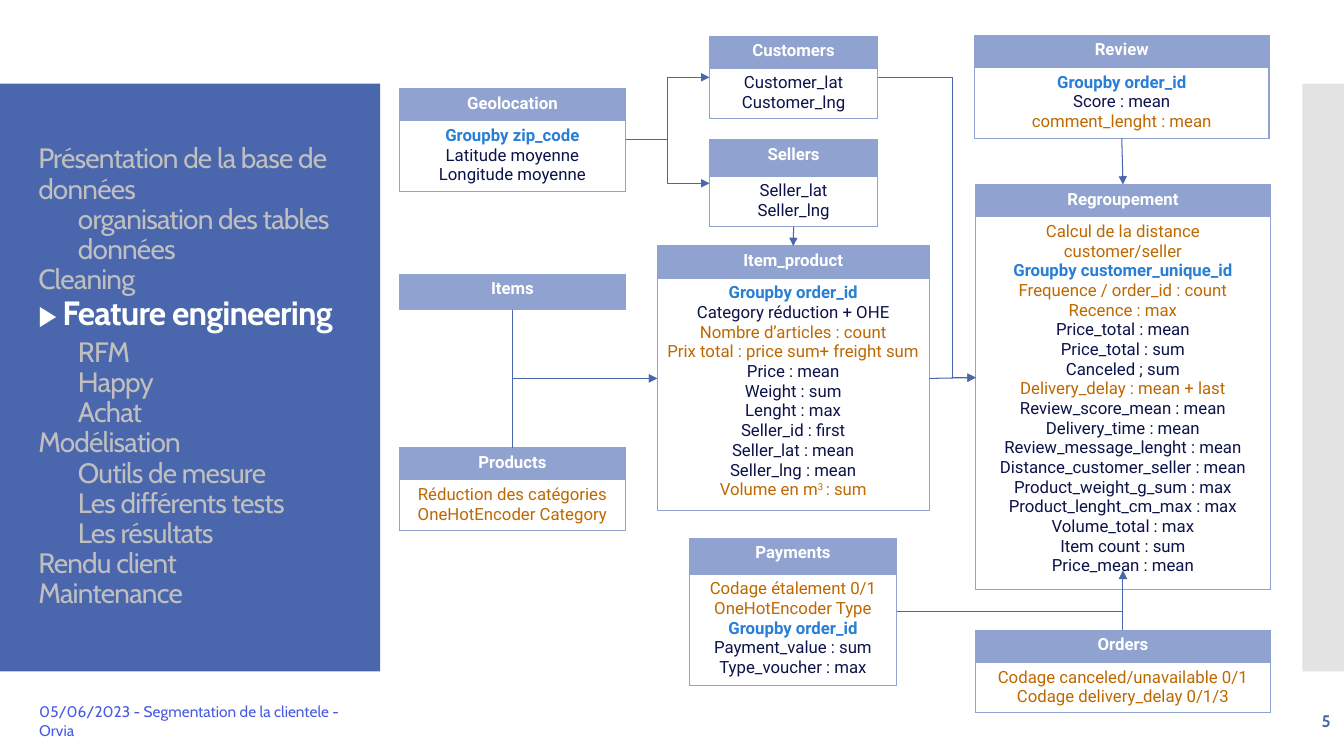
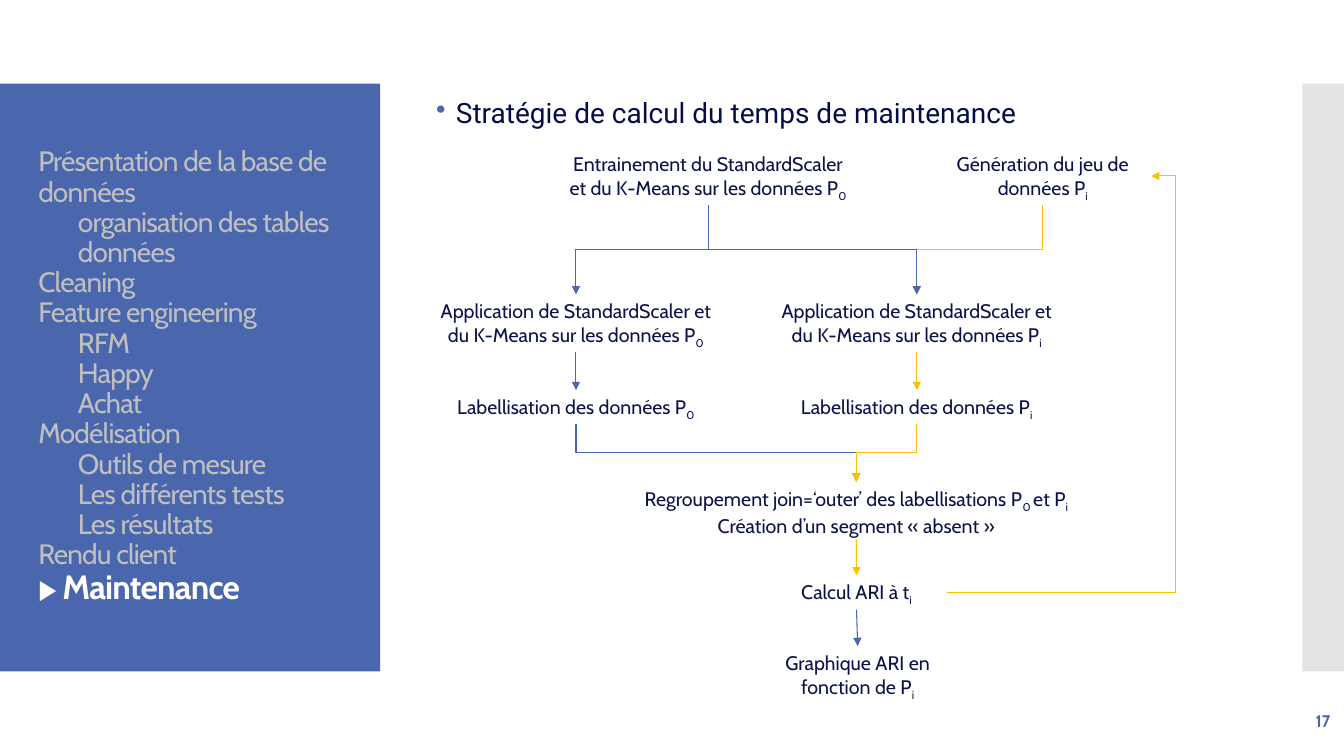
import pptx
import pptx.dml.color
import pptx.enum.shapes
import pptx.enum.text
import pptx.oxml
import pptx.oxml.ns
import pptx.util

Cm, Pt = pptx.util.Cm, pptx.util.Pt
ALIGN = pptx.enum.text.PP_ALIGN
ANCHOR = pptx.enum.text.MSO_ANCHOR
CONNECTOR = pptx.enum.shapes.MSO_CONNECTOR
qn = pptx.oxml.ns.qn

COLORS = {
    "band": "4A66AC", "side": "C8C8C8", "muted": "BFBFBF", "white": "FFFFFF",
    "header": "90A2CF", "text": "0B134A", "key": "297FD5", "new": "BE6800",
    "heading": "040D47", "footer": "465AE3", "loop": "FFC000",
}
# First character of a table line: its colour and weight
LINE_MARKS = {"*": ("key", True), "+": ("new", False)}
TOP, LEFT, BOTTOM, RIGHT = range(4)

# Navigation entries: indent level and wording
AGENDA = [
    (0, "Présentation de la base de données"), (1, "organisation des tables données"),
    (0, "Cleaning"), (0, "Feature engineering"), (1, "RFM"), (1, "Happy"), (1, "Achat"),
    (0, "Modélisation"), (1, "Outils de mesure"), (1, "Les différents tests"),
    (1, "Les résultats"), (0, "Rendu client"), (0, "Maintenance"),
]

# Tables: left, top, width, header height, lines (* key, + new, | superscript)
TABLES = {
    "Geolocation": (10.06, 2.23, 5.71, 0.81, [
        "*Groupby zip_code", "Latitude moyenne", "Longitude moyenne"]),
    "Items": (10.06, 6.91, 5.71, 0.89, []),
    "Products": (10.06, 11.28, 5.71, 0.81, [
        "+Réduction des catégories", "+OneHotEncoder Category"]),
    "Customers": (17.88, 0.91, 4.24, 0.81, ["Customer_lat", "Customer_lng"]),
    "Sellers": (17.88, 3.53, 4.24, 0.91, ["Seller_lat", "Seller_lng"]),
    "Item_product": (16.56, 6.2, 6.86, 0.81, [
        "*Groupby order_id", "Category réduction + OHE", "+Nombre d’articles : count",
        "+Prix total : price sum+ freight sum", "Price : mean", "Weight : sum",
        "Lenght : max", "Seller_id : first", "Seller_lat : mean", "Seller_lng : mean",
        "+Volume en m|3 |: sum"]),
    "Payments": (17.37, 13.56, 5.23, 0.91, [
        "+Codage étalement 0/1", "+OneHotEncoder Type", "*Groupby order_id",
        "Payment_value : sum", "Type_voucher : max"]),
    "Regroupement": (24.59, 4.65, 7.42, 0.81, [
        "+Calcul de la distance customer/seller", "*Groupby customer_unique_id",
        "+Frequence / order_id : count", "+Recence : max", "Price_total : mean",
        "Price_total : sum", "Canceled ; sum", "+Delivery_delay : mean + last",
        "Review_score_mean : mean", "Delivery_time : mean",
        "Review_message_lenght : mean", "Distance_customer_seller : mean",
        "Product_weight_g_sum : max", "Product_lenght_cm_max : max",
        "Volume_total : max", "Item count : sum", "Price_mean : mean"]),
    "Review": (24.56, 0.89, 7.42, 0.81, [
        "*Groupby order_id", "Score : mean", "+comment_lenght : mean"]),
    "Orders": (24.59, 15.88, 7.42, 0.81, [
        "+Codage canceled/unavailable 0/1", "+Codage delivery_delay 0/1/3"]),
}
TABLE_LINKS = [
    ("Geolocation", RIGHT, "Customers", LEFT, "bent"),
    ("Geolocation", RIGHT, "Sellers", LEFT, "bent"),
    ("Items", BOTTOM, "Item_product", LEFT, "corner"),
    ("Products", TOP, "Item_product", LEFT, "corner"),
    ("Sellers", BOTTOM, "Item_product", TOP, "straight"),
    ("Customers", RIGHT, "Regroupement", LEFT, "bent", 0.76),
    ("Item_product", RIGHT, "Regroupement", LEFT, "straight"),
    ("Payments", RIGHT, "Regroupement", BOTTOM, "corner"),
    ("Orders", TOP, "Regroupement", BOTTOM, "straight"),
    ("Review", BOTTOM, "Regroupement", TOP, "straight"),
]

# Flow steps: left, top, width, height, paragraphs (| subscript)
APPLY = "Application de StandardScaler et du K-Means sur les données P"
LABEL = "Labellisation des données P"
STEPS = {
    "train": (14.02, 3.71, 7.65, 1.45, [
        "Entrainement du StandardScaler et du K-Means sur les données P|0"]),
    "generate": (23.55, 3.71, 5.46, 1.45, ["Génération du jeu de données P|i"]),
    "apply 0": (10.69, 7.42, 7.65, 1.45, [APPLY + "|0"]),
    "apply i": (19.28, 7.42, 7.65, 1.45, [APPLY + "|i"]),
    "label 0": (10.69, 9.83, 7.65, 0.86, [LABEL + "|0"]),
    "label i": (19.28, 9.83, 7.65, 0.86, [LABEL + "|i"]),
    "merge": (15.8, 12.14, 11.56, 1.45, [
        "Regroupement join=‘outer’ des labellisations P|0 |et P|i",
        "Création d’un segment « absent »"]),
    "score": (19.3, 14.5, 4.57, 0.86, ["Calcul ARI à t|i"]),
    "chart": (19.33, 16.28, 4.57, 1.45, ["Graphique ARI en fonction de P|i"]),
}
STEP_LINKS = [
    ("train", BOTTOM, "apply 0", TOP, "bent"),
    ("generate", BOTTOM, "apply i", TOP, "bent", 0.5, "loop"),
    ("train", BOTTOM, "apply i", TOP, "bent"),
    ("apply 0", BOTTOM, "label 0", TOP, "straight"),
    ("apply i", BOTTOM, "label i", TOP, "straight", 0.5, "loop"),
    ("label 0", BOTTOM, "merge", TOP, "bent"),
    ("label i", BOTTOM, "merge", TOP, "bent", 0.5, "loop"),
    ("merge", BOTTOM, "score", TOP, "straight", 0.5, "loop"),
    ("score", RIGHT, "generate", RIGHT, "bent", 1.12, "loop"),
    ("score", BOTTOM, "chart", TOP, "straight"),
]


def rgb(name):
    return pptx.dml.color.RGBColor.from_string(COLORS[name])


def add_xml(parent, tag, **attributes):
    child = pptx.oxml.parse_xml(f"<a:{tag} {pptx.oxml.ns.nsdecls('a')}/>")
    for name, value in attributes.items():
        child.set(name, str(value))
    parent.append(child)
    return child


def side_point(item, side):
    """Middle of one side of a shape or table."""
    across = {LEFT: 0, RIGHT: 1}.get(side, 0.5)
    down = {TOP: 0, BOTTOM: 1}.get(side, 0.5)
    return item.left + int(item.width * across), item.top + int(item.height * down)


class Deck:
    def __init__(self):
        self.deck = pptx.Presentation()
        self.deck.slide_width, self.deck.slide_height = Cm(33.87), Cm(19.05)
        self.layout = self.deck.slide_layouts[5]
        self.page = None

    def new_page(self, number, active, footer=None):
        first = self.page is None
        self.page = self.deck.slides.add_slide(self.layout)
        if first:
            self.shared_bands()
        self.agenda(active)
        self.text(29.54, 17.65, 4.24, 1.02, [number], 12, "band", bold=True,
                  align=ALIGN.RIGHT, anchor=ANCHOR.MIDDLE)
        if footer:
            self.text(0.74, 17.65, 9, 1.02, [footer], 11, "footer", anchor=ANCHOR.MIDDLE)

    def shared_bands(self):
        """Both bands live on the layout, in place of its footer placeholders."""
        tree = self.layout.shapes._spTree
        for holder in list(self.layout.placeholders):
            if holder.placeholder_format.idx >= 10:
                tree.remove(holder._element)
        for left, width, color, alpha in ((0, 9.58, "band", 100), (32.82, 1.05, "side", 50)):
            band = self.page.shapes.add_shape(
                pptx.enum.shapes.MSO_SHAPE.RECTANGLE, Cm(left), Cm(2.11), Cm(width), Cm(14.81))
            band.shadow.inherit = False
            band.fill.solid()
            band.fill.fore_color.rgb = rgb(color)
            band.line.fill.background()
            fill = band._element.spPr.find(qn("a:solidFill"))
            add_xml(fill[0], "alpha", val=alpha * 1000)
            tree.append(band._element)

    def style(self, span, size, color, bold=False, font="Cabin"):
        span.font.name, span.font.size, span.font.bold = font, Pt(size), bold
        span.font.color.rgb = rgb(color)

    def spans(self, paragraph, text, size, color, bold=False, font="Cabin", shift=-25):
        """Add text whose parts alternate between normal and shifted at each |."""
        for index, part in enumerate(text.split("|")):
            span = paragraph.add_run()
            span.text = part
            self.style(span, size, color, bold, font)
            if index % 2:
                span._r.get_or_add_rPr().set("baseline", str(shift * 1000))

    def agenda(self, active):
        title = self.page.shapes.title
        title.left, title.top, title.width, title.height = Cm(0.71), Cm(3.12), Cm(8.18), Cm(12.78)
        frame = title.text_frame
        frame.word_wrap, frame.vertical_anchor = True, ANCHOR.MIDDLE
        frame.auto_size = pptx.enum.text.MSO_AUTO_SIZE.NONE
        frame.text = "\n".join(text for _, text in AGENDA)
        for paragraph, (level, text) in zip(frame.paragraphs, AGENDA):
            paragraph.alignment, paragraph.line_spacing = ALIGN.LEFT, 0.9
            paragraph._p.get_or_add_pPr().set("marL", str(Cm(level)))
            if text == active:
                paragraph.text = "▶︎ "
                self.style(paragraph.runs[0], 20, "white")
                self.spans(paragraph, text, 24, "white", bold=True)
                if text != AGENDA[-1][1]:
                    paragraph.space_after = Pt(4)
            else:
                self.style(paragraph.runs[0], 20, "muted")
            for span in paragraph.runs:
                span._r.get_or_add_rPr().set("spc", "-60")

    def text(self, left, top, width, height, lines, size, color, bold=False,
             font="Cabin", align=ALIGN.LEFT, anchor=ANCHOR.TOP):
        box = self.page.shapes.add_textbox(Cm(left), Cm(top), Cm(width), Cm(height))
        frame = box.text_frame
        frame.word_wrap, frame.vertical_anchor = True, anchor
        for index, line in enumerate(lines):
            paragraph = frame.add_paragraph() if index else frame.paragraphs[0]
            paragraph.alignment = align
            self.spans(paragraph, line, size, color, bold, font)
        return box

    def heading(self, text):
        box = self.text(10.74, 2.39, 20.32, 1.3, [text], 20, "heading", font="Roboto")
        paragraph = box.text_frame.paragraphs[0]
        paragraph.line_spacing = 0.9
        properties = paragraph._p.get_or_add_pPr()
        properties.set("marL", str(Cm(0.5)))
        properties.set("indent", str(-Cm(0.5)))
        add_xml(add_xml(properties, "buClr"), "srgbClr", val=COLORS["band"])
        add_xml(properties, "buChar", char="•")

    def cell(self, cell, lines, fill=None):
        for edge in ("lnL", "lnR", "lnT", "lnB"):
            line = add_xml(cell._tc.get_or_add_tcPr(), edge, w=Pt(1))
            add_xml(add_xml(line, "solidFill"), "srgbClr", val=COLORS["header"])
        if fill:
            cell.fill.solid()
            cell.fill.fore_color.rgb = rgb(fill)
        else:
            cell.fill.background()
        for index, line in enumerate(lines):
            frame = cell.text_frame
            paragraph = frame.add_paragraph() if index else frame.paragraphs[0]
            paragraph.alignment = ALIGN.CENTER
            color, bold = ("white", True) if fill else LINE_MARKS.get(line[0], ("text", False))
            self.spans(paragraph, line.lstrip("*+"), 12, color, bold, "Roboto", 30)

    def table(self, name, left, top, width, header, lines):
        heights = [header] + ([0.25 + 0.51 * len(lines)] if lines else [])
        frame = self.page.shapes.add_table(
            len(heights), 1, Cm(left), Cm(top), Cm(width), Cm(sum(heights)))
        table = frame.table
        table.first_row = table.horz_banding = False
        for row, height in zip(table.rows, heights):
            row.height = Cm(height)
        self.cell(table.cell(0, 0), [name], "header")
        if lines:
            self.cell(table.cell(1, 0), lines)
        return frame

    def link(self, first, first_side, second, second_side, route, bend=0.5, color="band"):
        """Arrow between two sides: straight, bent (two turns) or corner (one turn)."""
        x1, y1 = side_point(first, first_side)
        x2, y2 = side_point(second, second_side)
        turn = 0
        if route != "straight" and first_side in (TOP, BOTTOM):
            # An elbow that leaves vertically is a horizontal one, turned about its middle
            turn = 270 if x2 > x1 and y2 > y1 else 90
            middle_x, middle_y = (x1 + x2) // 2, (y1 + y2) // 2
            half_width, half_height = abs(y2 - y1) // 2, abs(x2 - x1) // 2
            across = half_width if x2 > x1 else -half_width
            down = half_height if y2 < y1 else -half_height
            x1, x2 = middle_x + across, middle_x - across
            y1, y2 = middle_y + down, middle_y - down
        kind = CONNECTOR.STRAIGHT if route == "straight" else CONNECTOR.ELBOW
        arrow = self.page.shapes.add_connector(kind, x1, y1, x2, y2)
        arrow.line.color.rgb = rgb(color)
        arrow.line.width = Pt(0.75)
        properties = arrow._element.spPr
        add_xml(properties.find(qn("a:ln")), "tailEnd", type="triangle")
        add_xml(properties, "effectLst")
        geometry = properties.find(qn("a:prstGeom"))
        if turn:
            properties.find(qn("a:xfrm")).set("rot", str(turn * 60000))
        if route == "straight":
            arrow.begin_connect(first, first_side)
            arrow.end_connect(second, second_side)
        elif route == "corner":
            geometry.set("prst", "bentConnector2")
        elif bend != 0.5:
            add_xml(geometry.find(qn("a:avLst")), "gd", name="adj1",
                    fmla=f"val {round(bend * 100000)}")

    def links(self, items, rows):
        for start, start_side, end, end_side, *options in rows:
            self.link(items[start], start_side, items[end], end_side, *options)


def main():
    deck = Deck()

    # Feature engineering: tables and how they join
    deck.new_page("5", "Feature engineering",
                  "05/06/2023 - Segmentation de la clientele - Orvia")
    tables = {name: deck.table(name, *row) for name, row in TABLES.items()}
    deck.links(tables, TABLE_LINKS)

    # Maintenance: flow of the computation
    deck.new_page("17", "Maintenance")
    deck.heading("Stratégie de calcul du temps de maintenance")
    steps = {name: deck.text(*row, 14, "text", align=ALIGN.CENTER)
             for name, row in STEPS.items()}
    deck.links(steps, STEP_LINKS)

    deck.deck.save("out.pptx")


if __name__ == "__main__":
    main()
